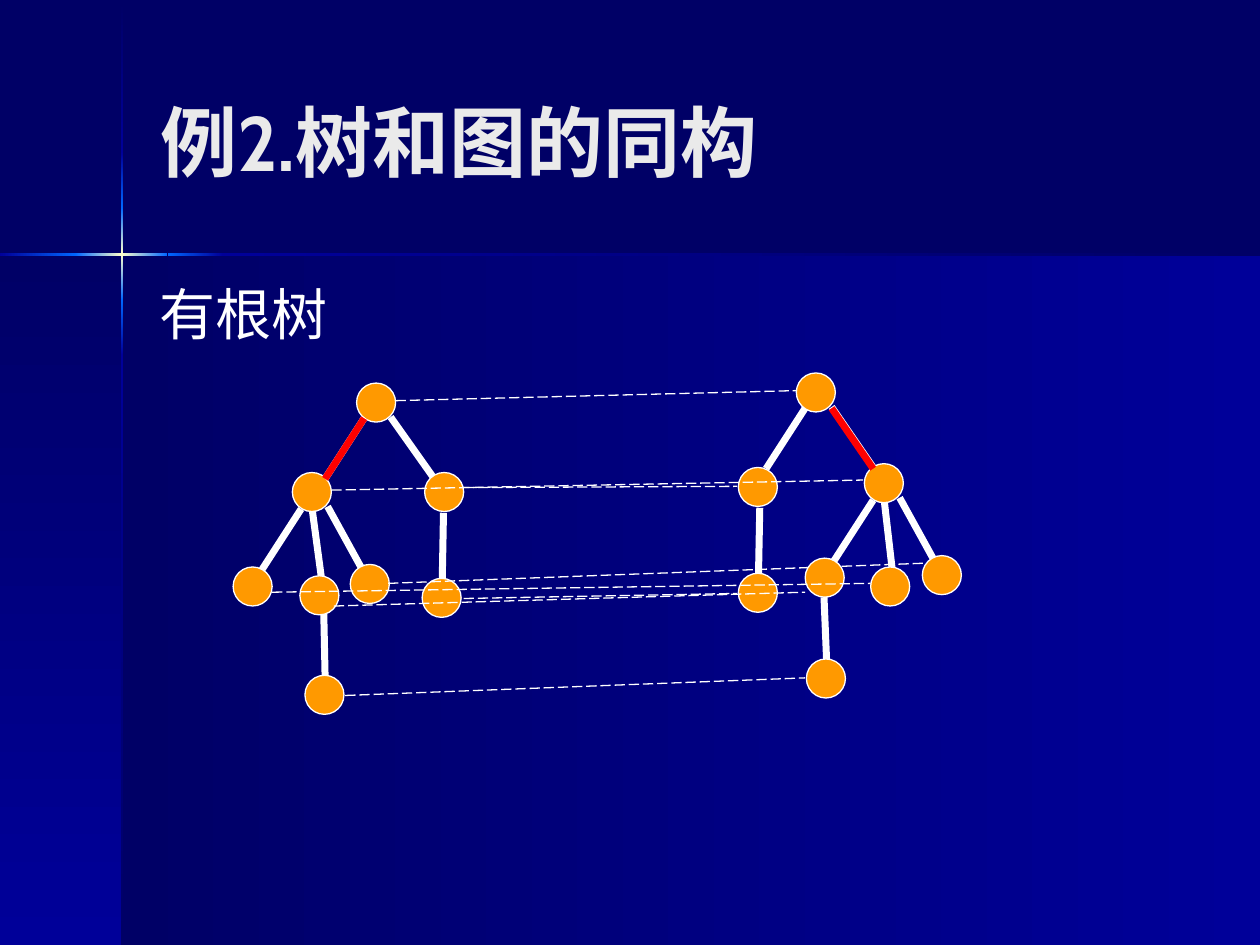
from copy import deepcopy

from pptx import Presentation
from pptx.dml.color import RGBColor
from pptx.enum.dml import MSO_LINE
from pptx.enum.shapes import MSO_CONNECTOR, MSO_SHAPE
from pptx.enum.text import MSO_ANCHOR, MSO_AUTO_SIZE, PP_ALIGN
from pptx.oxml.ns import qn
from pptx.oxml.xmlchemy import OxmlElement
from pptx.util import Inches, Pt

RECT, OVAL = MSO_SHAPE.RECTANGLE, MSO_SHAPE.OVAL
STRAIGHT, DASH = MSO_CONNECTOR.STRAIGHT, MSO_LINE.LONG_DASH
LEFT, TOP, MIDDLE = PP_ALIGN.LEFT, MSO_ANCHOR.TOP, MSO_ANCHOR.MIDDLE

NAVY = RGBColor(0x00, 0x00, 0x66)
BLUE = RGBColor(0x00, 0x00, 0x99)
BRIGHT = RGBColor(0x00, 0x66, 0xFF)
CREAM = RGBColor(0xFF, 0xFF, 0xCC)
WHITE = RGBColor(0xFF, 0xFF, 0xFF)
PALE = RGBColor(0xEA, 0xEA, 0xEA)
ORANGE = RGBColor(0xFF, 0x99, 0x00)
RED = RGBColor(0xFF, 0x00, 0x00)

FONT = "Cabin"
NODE = 0.31
DOWN, LEFTWARD = 270, 180

TITLE = "例2.树和图的同构"
SUBTITLE = "有根树"

BANDS = [
    ((0.97, 2.02, 9.03, 5.48), LEFTWARD, (BLUE, NAVY)),
    ((0, 2.02, 0.97, 5.48), DOWN, (NAVY, BLUE)),
    ((0.96, 0.01, 0.02, 1.2), DOWN, (NAVY, BLUE)),
    ((0.96, 2.82, 0.02, 4.68), DOWN, (BLUE, NAVY)),
    ((1.77, 2.01, 8.23, 0.02), LEFTWARD, (NAVY, BLUE)),
    ((0.96, 2.38, 0.02, 0.44), DOWN, (BRIGHT, BLUE)),
    ((0.96, 1.21, 0.02, 0.44), DOWN, (BLUE, BRIGHT)),
    ((0.96, 1.65, 0.02, 0.73), DOWN, (BRIGHT, CREAM, BRIGHT)),
    ((0, 2.01, 0.61, 0.02), LEFTWARD, (BRIGHT, BLUE)),
    ((1.33, 2.01, 0.44, 0.02), LEFTWARD, (BLUE, BRIGHT)),
    ((0.6, 2.01, 0.73, 0.02), LEFTWARD, (BRIGHT, CREAM, BRIGHT)),
]

TREE_EDGES = [
    (2.89, 3.32, 2.58, 3.8), (3.1, 3.31, 3.44, 3.79),
    (2.39, 4.04, 2.08, 4.52), (2.48, 4.06, 2.55, 4.58),
    (2.6, 4.02, 2.87, 4.51), (3.52, 4.07, 3.51, 4.61),
    (2.57, 4.87, 2.58, 5.36),
    (6.39, 3.24, 6.08, 3.72), (6.6, 3.23, 6.93, 3.71),
    (6.93, 3.97, 6.62, 4.45), (7.02, 3.99, 7.08, 4.51),
    (7.14, 3.95, 7.41, 4.44), (6.03, 4.03, 6.02, 4.57),
    (6.54, 4.74, 6.56, 5.23),
]
MARKED_EDGES = [(2.89, 3.32, 2.58, 3.8), (6.6, 3.24, 6.93, 3.72)]

MATCHES = [
    ((2.83, 3.04), (6.32, 2.96), (3.14, 3.18, 6.32, 3.1)),
    ((3.37, 3.75), (5.86, 3.71), (3.68, 3.87, 5.85, 3.86)),
    ((3.35, 4.59), (5.86, 4.55), (3.68, 4.75, 5.85, 4.71)),
    ((2.32, 3.75), (6.86, 3.68), (2.63, 3.89, 6.85, 3.81)),
    ((2.78, 4.48), (7.32, 4.41), (3.08, 4.63, 7.34, 4.47)),
    ((2.38, 4.57), (6.39, 4.43), (2.65, 4.81, 6.39, 4.7)),
    ((1.85, 4.5), (6.91, 4.5), (2.16, 4.7, 6.91, 4.63)),
    ((2.42, 5.36), (6.4, 5.23), (2.74, 5.52, 6.39, 5.38)),
]


def add_band(s, box, angle, colors):
    sp = s.shapes.add_shape(RECT, *map(Inches, box))
    sp.shadow.inherit = False
    sp.line.fill.background()
    sp.fill.gradient()
    sp.fill.gradient_angle = angle
    stops = sp._element.spPr.find(qn("a:gradFill")).find(qn("a:gsLst"))
    if len(colors) > 2:
        stops.insert(1, deepcopy(stops[0]))
    for i, (stop, color) in enumerate(zip(sp.fill.gradient_stops, colors)):
        stop.position = i / (len(colors) - 1)
        stop.color.rgb = color


def add_line(s, ends, color=WHITE, width=4, dash=None):
    line = s.shapes.add_connector(STRAIGHT, *map(Inches, ends))
    line.line.color.rgb = color
    line.line.width = Pt(width)
    if dash:
        line.line.dash_style = dash
    line._element.spPr.append(OxmlElement("a:effectLst"))


def add_node(s, left, top):
    sp = s.shapes.add_shape(OVAL, *map(Inches, (left, top, NODE, NODE)))
    sp.shadow.inherit = False
    sp.fill.solid()
    sp.fill.fore_color.rgb = ORANGE
    sp.line.color.rgb = WHITE
    sp.line.width = Pt(0.75)


def write(sp, text, size, color, bold=False, anchor=TOP, before=0):
    tf = sp.text_frame
    tf.word_wrap = True
    tf.auto_size = MSO_AUTO_SIZE.NONE
    tf.vertical_anchor = anchor
    p = tf.paragraphs[0]
    p.alignment = LEFT
    p.space_before = Pt(before)
    r = p.add_run()
    r.text = text
    r.font.name = FONT
    r.font.size = Pt(size)
    r.font.bold = bold
    r.font.color.rgb = color


def main():
    """Build the slide on rooted-tree isomorphism."""
    prs = Presentation()
    prs.slide_width, prs.slide_height = Inches(10), Inches(7.5)
    s = prs.slides.add_slide(prs.slide_layouts[5])
    s.background.fill.solid()
    s.background.fill.fore_color.rgb = NAVY

    for box, angle, colors in BANDS:
        add_band(s, box, angle, colors)

    title = s.shapes.title
    title.left, title.top, title.width, title.height = map(
        Inches, (1.17, 0.33, 8.25, 1.57))
    s.shapes._spTree.append(title._element)
    write(title, TITLE, 44, PALE, bold=True, anchor=MIDDLE)
    subtitle = s.shapes.add_textbox(*map(Inches, (1.17, 2.17, 8.25, 0.64)))
    write(subtitle, SUBTITLE, 32, WHITE, before=8)

    for ends in TREE_EDGES:
        add_line(s, ends)
    for left_node, right_node, ends in MATCHES:
        add_node(s, *left_node)
        add_node(s, *right_node)
        add_line(s, ends, width=0.75, dash=DASH)
    for ends in MARKED_EDGES:
        add_line(s, ends, color=RED)

    prs.save("out.pptx")


if __name__ == "__main__":
    main()
